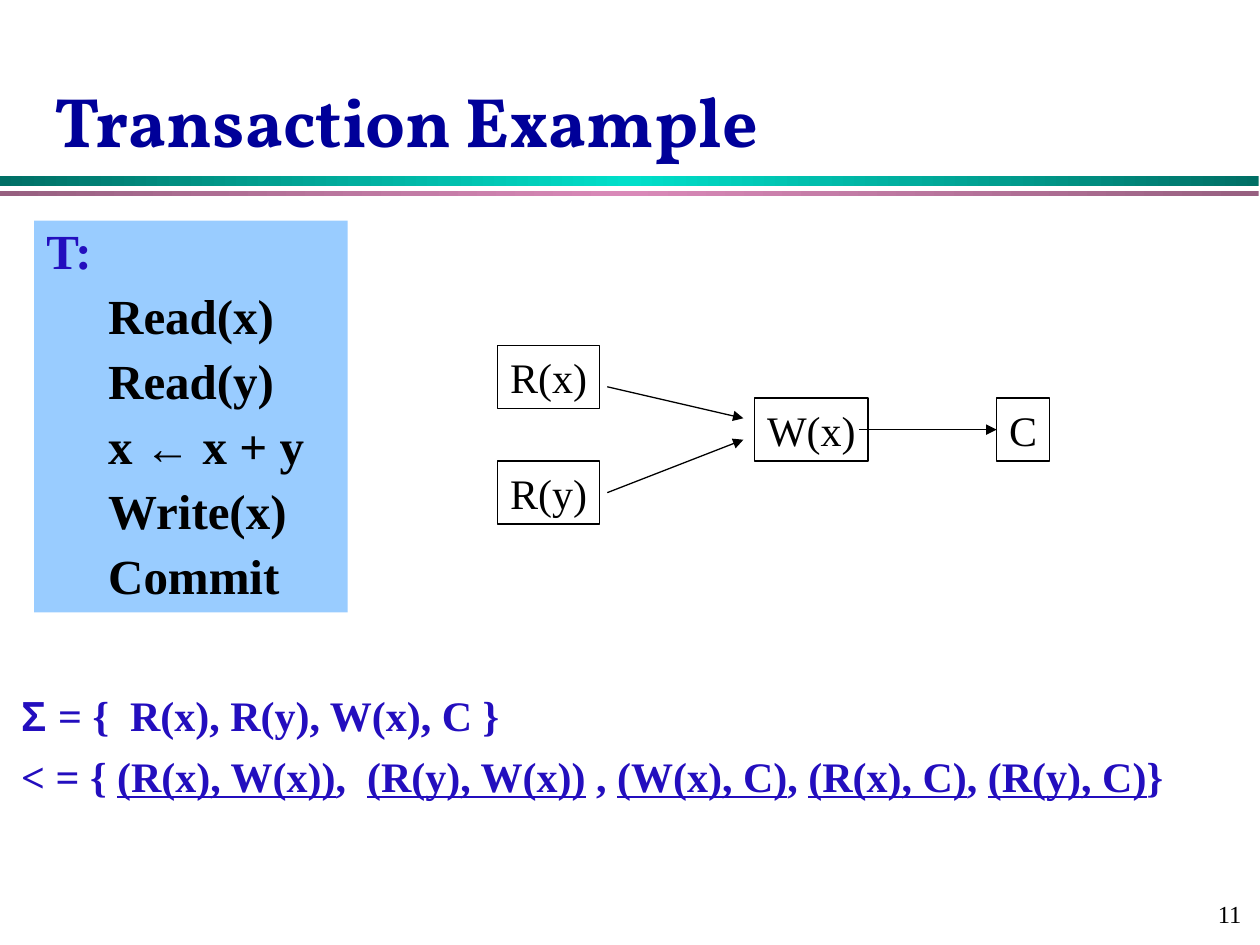
from copy import deepcopy

from lxml.etree import SubElement
from pptx import Presentation
from pptx.dml.color import RGBColor
from pptx.enum.shapes import MSO_CONNECTOR, MSO_SHAPE
from pptx.enum.text import MSO_ANCHOR, PP_ALIGN
from pptx.oxml.ns import qn
from pptx.util import Inches, Pt

BLACK = RGBColor(0x00, 0x00, 0x00)
NAVY = RGBColor(0x00, 0x00, 0x99)
VIOLET = RGBColor(0x23, 0x0E, 0xBE)
SKY = RGBColor(0x99, 0xCC, 0xFF)
DARK_TEAL = RGBColor(0x00, 0x6F, 0x65)
TEAL = RGBColor(0x00, 0xDF, 0xCA)
DARK_PINK = RGBColor(0x97, 0x60, 0x80)
PINK = RGBColor(0xD9, 0x89, 0xB8)

SERIF = "Times New Roman"
SANS = "Arial"
DISPLAY = "Vollkorn"


class SlideBuilder:
    def __init__(self, slide):
        self.slide = slide
        self.line_width = Pt(0.75)

    def place(self, sp, x, y, w, h):
        sp.left, sp.top = Inches(x), Inches(y)
        sp.width, sp.height = Inches(w), Inches(h)

    def style(self, p, size, color, bold=False, font=SERIF, align=PP_ALIGN.LEFT):
        p.alignment = align
        p.font.name, p.font.size = font, Pt(size)
        p.font.bold, p.font.color.rgb = bold, color

    def title(self, text, x, y, w, h):
        sp = self.slide.shapes.title
        self.place(sp, x, y, w, h)
        tf = sp.text_frame
        tf.text = text
        tf.vertical_anchor = MSO_ANCHOR.BOTTOM
        self.style(tf.paragraphs[0], 40, NAVY, True, DISPLAY)

    def rect(self, x, y, w, h):
        sp = self.slide.shapes.add_shape(
            MSO_SHAPE.RECTANGLE, Inches(x), Inches(y), Inches(w), Inches(h))
        sp.shadow.inherit = False
        sp.line.fill.background()
        sp.text_frame.vertical_anchor = MSO_ANCHOR.TOP
        return sp

    def bar(self, y, h, edge, middle):
        fill = self.rect(0, y, 9.99, h).fill
        fill.gradient()
        fill.gradient_angle = 0
        stops = fill._fill._gradFill.find(qn("a:gsLst"))
        stops.insert(1, deepcopy(stops[0]))
        for stop, pos, color in zip(fill.gradient_stops, (0, 0.5, 1), (edge, middle, edge)):
            stop.position = pos
            stop.color.rgb = color

    def panel(self, x, y, w, h):
        sp = self.rect(x, y, w, h)
        sp.fill.solid()
        sp.fill.fore_color.rgb = SKY
        return sp.text_frame

    def textbox(self, x, y, w, h):
        sp = self.slide.shapes.add_textbox(Inches(x), Inches(y), Inches(w), Inches(h))
        sp.text_frame.word_wrap = True
        return sp.text_frame

    def paragraph(self, tf, runs, size, color, before, spacing=1.0, indent=0):
        p = tf.paragraphs[0] if not tf.paragraphs[0].runs else tf.add_paragraph()
        self.style(p, size, color, True)
        p.space_before, p.line_spacing = Pt(before), spacing
        if indent:
            p._p.get_or_add_pPr().set("marL", str(Inches(indent)))
        for text in runs:
            p.add_run().text = text
        return p

    def node(self, text, x, y, w):
        sp = self.rect(x, y, w, 0.5)
        sp.fill.background()
        sp.line.color.rgb, sp.line.width = BLACK, self.line_width
        tf = sp.text_frame
        tf.word_wrap = False
        tf.text = text
        self.style(tf.paragraphs[0], 24, BLACK)
        return sp

    def arrow(self, x1, y1, x2, y2):
        cx = self.slide.shapes.add_connector(
            MSO_CONNECTOR.STRAIGHT, Inches(x1), Inches(y1), Inches(x2), Inches(y2))
        cx.line.color.rgb, cx.line.width = BLACK, self.line_width
        SubElement(cx.line._get_or_add_ln(), qn("a:tailEnd"), type="triangle")
        SubElement(cx._element.spPr, qn("a:effectLst"))
        return cx


def main():
    prs = Presentation()
    prs.slide_width, prs.slide_height = Inches(10), Inches(7.5)
    s = SlideBuilder(prs.slides.add_slide(prs.slide_layouts[5]))

    s.bar(1.4, 0.08, DARK_TEAL, TEAL)
    s.bar(1.52, 0.04, DARK_PINK, PINK)
    s.title("Transaction Example", 0.33, 0.25, 9.25, 1.08)

    tf = s.textbox(7.92, 7, 2.08, 0.5)
    tf.vertical_anchor = MSO_ANCHOR.MIDDLE
    tf.text = "11 "
    s.style(tf.paragraphs[0], 14, BLACK, align=PP_ALIGN.RIGHT)

    tf = s.panel(0.27, 1.75, 2.49, 3.11)
    s.paragraph(tf, ["T:"], 28, VIOLET, 7, 0.9)
    steps = [["Read(x)"], ["Read(y)"], ["x ", "←", " x + y"], ["Write(x)"], ["Commit"]]
    for step in steps:
        p = s.paragraph(tf, step, 28, BLACK, 7, 0.9, 0.49)
        for r in p.runs:
            if r.text == "←":
                r.font.name, r.font.size = SANS, Pt(26)

    tf = s.textbox(0.07, 5.42, 10.39, 1.39)
    p = s.paragraph(tf, ["Σ ", "= {  R(x), R(y), W(x), C }"], 24, VIOLET, 6)
    p.runs[0].font.name = SANS
    order = ["< = { ", "(R(x), W(x))", ",  ", "(R(y), W(x))", " , ", "(W(x), C)",
             ", ", "(R(x), C)", ", ", "(R(y), C)", "}"]
    p = s.paragraph(tf, order, 24, VIOLET, 6)
    for r in p.runs[1::2]:
        r.font.underline = True

    s.node("R(x)", 3.95, 2.74, 0.81)
    s.node("R(y)", 3.95, 3.66, 0.81)
    s.node("W(x)", 5.99, 3.16, 0.9)
    commit = s.node("C", 7.91, 3.16, 0.42)

    s.arrow(4.82, 3.07, 5.9, 3.32)
    s.arrow(4.82, 3.91, 5.9, 3.49)
    s.arrow(6.82, 3.41, 7.91, 3.41).end_connect(commit, 1)

    prs.save("out.pptx")


if __name__ == "__main__":
    main()
